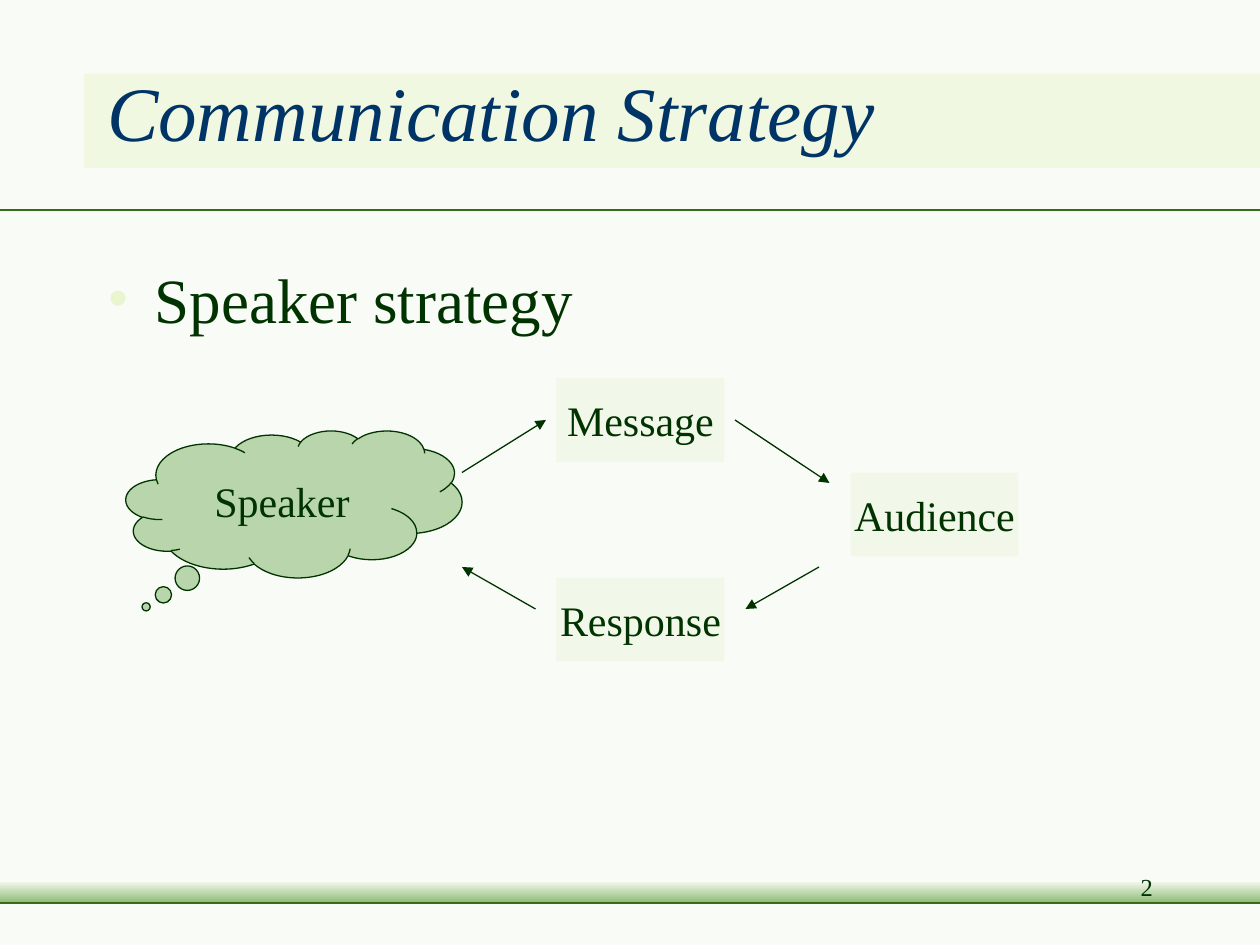
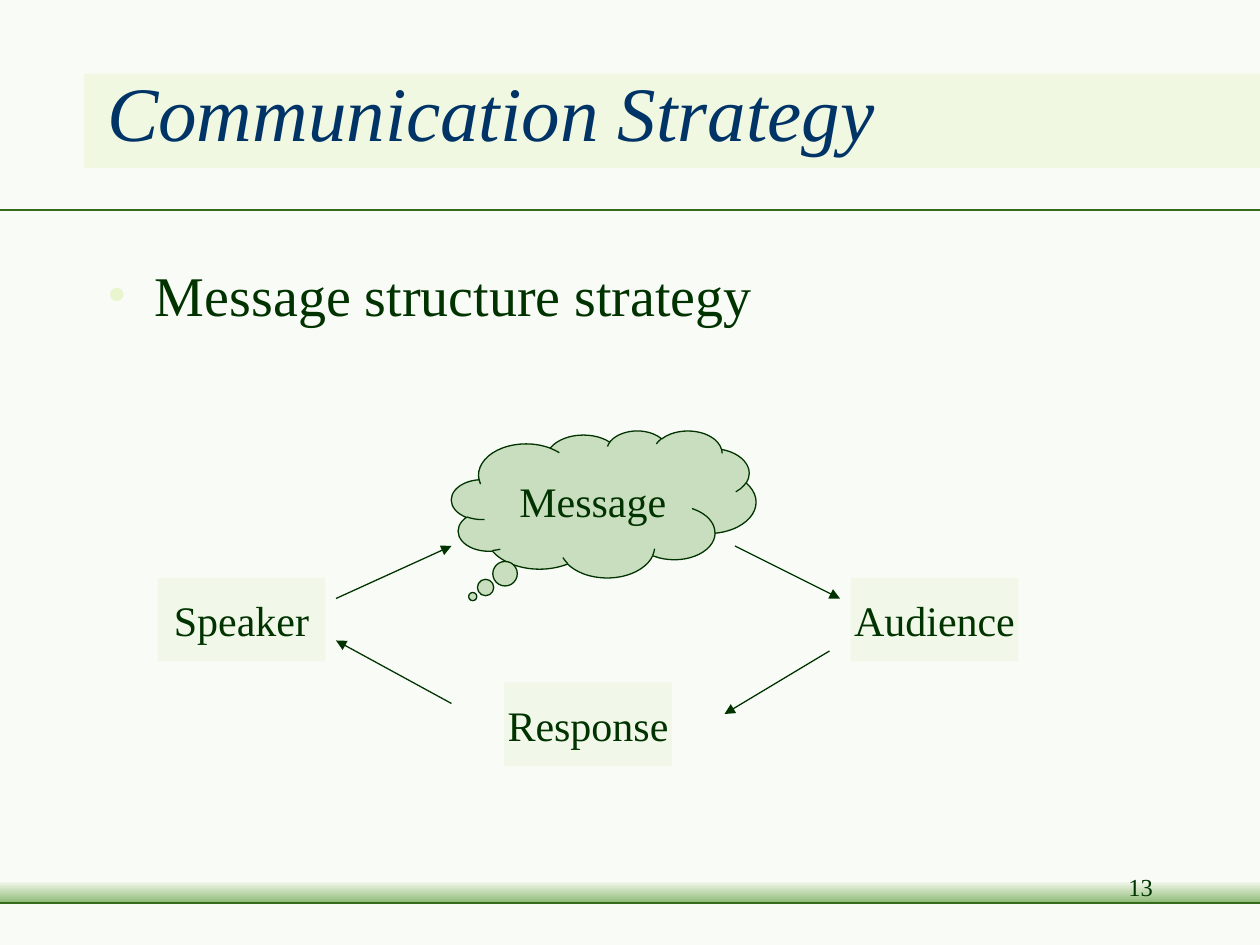
from lxml.etree import SubElement
from pptx import Presentation
from pptx.dml.color import RGBColor
from pptx.enum.shapes import MSO_CONNECTOR as Connector, MSO_SHAPE as Shape
from pptx.enum.text import MSO_ANCHOR as Anchor, MSO_AUTO_SIZE as AutoSize, PP_ALIGN as Align
from pptx.oxml.ns import qn
from pptx.util import Inches, Pt

COLORS = {
    "background": "F9FCF6", "rule": "366B1B", "pale": "F1F7E9", "leaf": "8DBA76",
    "band": "E9F5CF", "title": "003366", "ink": "003300",
    "speaker cloud": "B9D5AB", "message cloud": "C9DEBE",
}
RGB = {name: RGBColor.from_string(value) for name, value in COLORS.items()}
CELL = Inches(1) // 12
COLUMNS, ROWS = 120, 90
BOX_SIZE = (16, 8)
HANGING = Inches(0.38)

DIAGRAMS = [
    {
        "number": "2", "strategy": "Speaker strategy", "size": 36,
        "cloud": ("Speaker", (12, 41, 32, 14), "speaker cloud", (-0.44, 0.7)),
        "boxes": {"Message": (53, 36), "Response": (53, 55), "Audience": (81, 45)},
        "arrows": [(44, 45, 52, 40), (51, 58, 44, 54), (70, 40, 79, 46), (78, 54, 71, 58)],
    },
    {
        "number": "13", "strategy": "Message structure strategy", "size": 32,
        "cloud": ("Message", (43, 41, 29, 14), "message cloud", (-0.43, 0.63)),
        "boxes": {"Response": (48, 65), "Audience": (81, 55), "Speaker": (15, 55)},
        "arrows": [(32, 57, 43, 52), (43, 67, 32, 61), (70, 52, 80, 57), (79, 62, 69, 68)],
    },
]


def on_grid(*cells):
    return [int(cell * CELL) for cell in cells]


def write(shape, text, size, color="ink", align=Align.LEFT, anchor=Anchor.TOP, wrap=True, italic=False):
    frame = shape.text_frame
    frame.text = text
    frame_format = {"auto_size": AutoSize.NONE, "word_wrap": wrap, "vertical_anchor": anchor}
    for name, value in frame_format.items():
        setattr(frame, name, value)
    paragraph = frame.paragraphs[0]
    paragraph.alignment = align
    paragraph.space_before = Pt(0)
    font = paragraph.runs[0].font
    font_format = {"name": "Times New Roman", "size": Pt(size), "italic": italic}
    for name, value in font_format.items():
        setattr(font, name, value)
    font.color.rgb = RGB[color]
    return paragraph


presentation = Presentation()
presentation.slide_width, presentation.slide_height = on_grid(COLUMNS, ROWS)
background = presentation.slide_master.background.fill
background.solid()
background.fore_color.rgb = RGB["background"]

layout = presentation.slide_layouts[1]
slides = [presentation.slides.add_slide(layout) for diagram in DIAGRAMS]
shapes = slides[0].shapes

title_band = shapes.add_shape(Shape.RECTANGLE, *on_grid(8, 7, COLUMNS - 8, 9))
title_band.fill.solid()
title_band.fill.fore_color.rgb = RGB["band"]
band_color = title_band.fill._xPr.find(".//" + qn("a:srgbClr"))
SubElement(band_color, qn("a:alpha"), val="50000")

footer_band = shapes.add_shape(Shape.RECTANGLE, *on_grid(0, 84, COLUMNS, 2))
footer_band.fill.gradient()
footer_band.fill.gradient_angle = 270
for stop, color in zip(footer_band.fill.gradient_stops, ("pale", "leaf")):
    stop.color.rgb = RGB[color]

for band in (title_band, footer_band):
    band.shadow.inherit = False
    band.line.fill.background()

rules = []
for row in (20, 86):
    rule = shapes.add_connector(Connector.STRAIGHT, *on_grid(0, row, COLUMNS, row))
    rule.line.color.rgb = RGB["rule"]
    rule.line.width = Pt(1.5)
    SubElement(rule._element.spPr, qn("a:effectLst"))
    rules.append(rule)

for shared in (title_band, footer_band, *rules):
    layout.shapes._spTree.append(shared._element)

for slide, diagram in zip(slides, DIAGRAMS):
    shapes = slide.shapes
    title, body = shapes.title, slide.placeholders[1]
    for placeholder, cells in ((title, (9, 3, 102, 15)), (body, (9, 24.25, 102, 54))):
        placeholder.left, placeholder.top, placeholder.width, placeholder.height = on_grid(*cells)
    write(title, "Communication Strategy", 44, "title", anchor=Anchor.MIDDLE, italic=True)

    paragraph = write(body, diagram["strategy"], diagram["size"])
    properties = paragraph._p.get_or_add_pPr()
    properties.set("marL", str(HANGING))
    properties.set("indent", str(-HANGING))
    bullet_color = SubElement(properties, qn("a:buClr"))
    SubElement(bullet_color, qn("a:srgbClr"), val=COLORS["band"])
    SubElement(properties, qn("a:buFont"), typeface="Times New Roman")
    SubElement(properties, qn("a:buChar"), char="•")

    label, cells, color, pointer = diagram["cloud"]
    cloud = shapes.add_shape(Shape.CLOUD_CALLOUT, *on_grid(*cells))
    cloud.adjustments[0], cloud.adjustments[1] = pointer
    cloud.line.color.rgb = RGB["ink"]
    cloud.line.width = Pt(0.75)
    nodes = [(cloud, label, color)]
    for label, corner in diagram["boxes"].items():
        box = shapes.add_shape(Shape.RECTANGLE, *on_grid(*corner, *BOX_SIZE))
        box.line.fill.background()
        nodes.append((box, label, "pale"))
    for node, label, color in nodes:
        node.shadow.inherit = False
        node.fill.solid()
        node.fill.fore_color.rgb = RGB[color]
        write(node, label, 24, align=Align.CENTER, anchor=Anchor.MIDDLE, wrap=False)

    for ends in diagram["arrows"]:
        arrow = shapes.add_connector(Connector.STRAIGHT, *on_grid(*ends))
        arrow.line.color.rgb = RGB["ink"]
        arrow.line.width = Pt(0.75)
        SubElement(arrow.line._get_or_add_ln(), qn("a:tailEnd"), type="triangle")
        SubElement(arrow._element.spPr, qn("a:effectLst"))

    page_number = shapes.add_textbox(*on_grid(86, 82.5, 25, 6))
    write(page_number, diagram["number"], 14, align=Align.RIGHT)

presentation.save("out.pptx")
